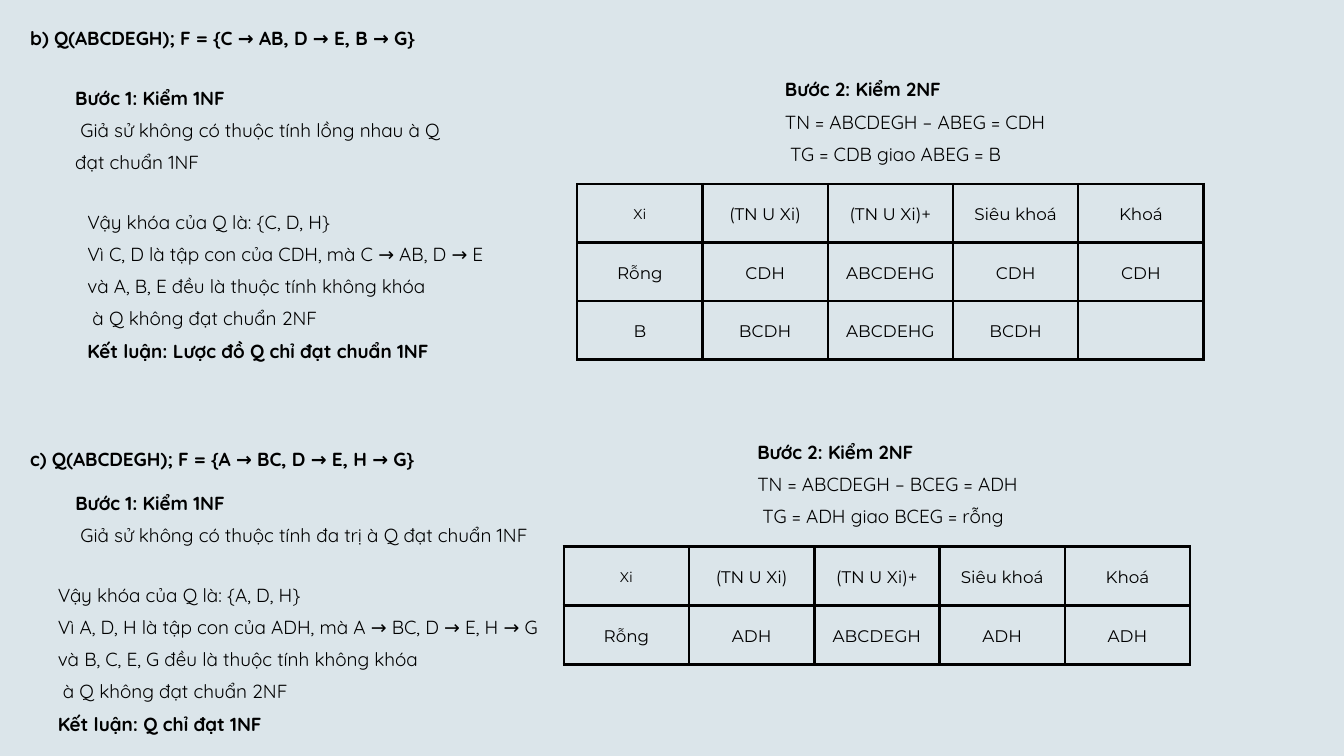
from dataclasses import dataclass

from lxml import etree
from pptx import Presentation
from pptx.dml.color import RGBColor
from pptx.enum.text import MSO_ANCHOR, MSO_AUTO_SIZE, PP_ALIGN
from pptx.oxml.ns import qn
from pptx.util import Inches, Pt

TOP, MIDDLE = MSO_ANCHOR.TOP, MSO_ANCHOR.MIDDLE
LEFT, CENTER = PP_ALIGN.LEFT, PP_ALIGN.CENTER
NO_FIT = MSO_AUTO_SIZE.NONE
TITLE_ONLY = 5
SIDES = ("left", "right", "top", "bottom")
EDGES = ("a:lnL", "a:lnR", "a:lnT", "a:lnB")


@dataclass(frozen=True)
class Theme:
    ink: str = "000000"
    back: str = "DBE5EA"
    text: str = "Quicksand"
    grid: str = "Montserrat"
    body: float = 20.3
    lead: float = 34.5
    cell: float = 18
    small: float = 15
    ratio: float = 1.4
    rule: float = 3
    pad: float = 0.21
    col: float = 1.864


THEME = Theme()
HEAD = ["Xi", "(TN U Xi)", "(TN U Xi)+", "Siêu khoá", "Khoá"]
STEP_1, STEP_2 = "Bước 1: Kiểm 1NF", "Bước 2: Kiểm 2NF"

# Each block: left, top, width, height, lines, index of the bold line
BLOCKS = [
    (1.12, 1.14, 5.87, 1.4,
     [STEP_1, " Giả sử không có thuộc tính lồng nhau à Q đạt chuẩn 1NF"], 0),
    (11.68, 1.02, 3.9, 1.4,
     [STEP_2, "TN = ABCDEGH – ABEG = CDH", " TG = CDB giao ABEG = B"], 0),
    (1.3, 2.99, 6, 2.36,
     ["Vậy khóa của Q là: {C, D, H}",
      "Vì C, D là tập con của CDH, mà C → AB, D → E",
      "và A, B, E đều là thuộc tính không khóa",
      " à Q không đạt chuẩn 2NF",
      "Kết luận: Lược đồ Q chỉ đạt chuẩn 1NF"], 4),
    (0.45, 6.52, 5.87, 0.44,
     ["c) Q(ABCDEGH); F = {A → BC, D → E, H → G}"], 0),
    (1.12, 7.17, 6.85, 0.92,
     [STEP_1, " Giả sử không có thuộc tính đa trị à Q đạt chuẩn 1NF"], 0),
    (11.27, 6.41, 3.9, 1.4,
     [STEP_2, "TN = ABCDEGH – BCEG = ADH", " TG = ADH giao BCEG = rỗng"], 0),
    (0.86, 8.54, 7.37, 2.36,
     ["Vậy khóa của Q là: {A, D, H}",
      "Vì A, D, H là tập con của ADH, mà A → BC, D → E, H → G",
      "và B, C, E, G đều là thuộc tính không khóa",
      " à Q không đạt chuẩn 2NF",
      "Kết luận: Q chỉ đạt 1NF"], 4),
]

# Each table: left, top, row height, rows below the head
TABLES = [
    (8.59, 2.74, 0.87,
     [["Rỗng", "CDH", "ABCDEHG", "CDH", "CDH"],
      ["B", "BCDH", "ABCDEHG", "BCDH", ""]]),
    (8.39, 8.13, 0.88,
     [["Rỗng", "ADH", "ABCDEGH", "ADH", "ADH"]]),
]


def assign(item, values):
    for name, value in values.items():
        setattr(item, name, value)


def write(par, text, face, size, lead, align=LEFT, bold=False):
    par.text = text
    assign(par, {"alignment": align, "line_spacing": Pt(lead),
                 "space_before": Pt(0), "space_after": Pt(0)})
    assign(par.font, {"name": face, "size": Pt(size), "bold": bold})
    par.font.color.rgb = RGBColor.from_string(THEME.ink)


def fill_frame(frame, lines, strong):
    assign(frame, {"word_wrap": True, "auto_size": NO_FIT,
                   "vertical_anchor": TOP})
    assign(frame, {f"margin_{side}": 0 for side in SIDES})
    for i, line in enumerate(lines):
        par = frame.add_paragraph() if i else frame.paragraphs[0]
        write(par, line, THEME.text, THEME.body, THEME.lead, bold=i == strong)


def add_title(slide, left, top, width, height, text):
    title = slide.shapes.title
    assign(title, {"left": Inches(left), "top": Inches(top),
                   "width": Inches(width), "height": Inches(height)})
    fill_frame(title.text_frame, [text], 0)


def add_block(slide, left, top, width, height, lines, strong):
    box = slide.shapes.add_textbox(*map(Inches, (left, top, width, height)))
    fill_frame(box.text_frame, lines, strong)


def add_edges(cell):
    """Rule all four sides; edges must precede the fill in the cell."""
    props = cell._tc.get_or_add_tcPr()
    for i, tag in enumerate(EDGES):
        edge = etree.Element(qn(tag), w=str(Pt(THEME.rule)))
        fill = etree.SubElement(edge, qn("a:solidFill"))
        etree.SubElement(fill, qn("a:srgbClr"), val=THEME.ink)
        props.insert(i, edge)


def fill_cell(cell, text, size):
    cell.fill.background()
    assign(cell, {f"margin_{side}": Inches(THEME.pad) for side in SIDES})
    cell.vertical_anchor = MIDDLE
    write(cell.text_frame.paragraphs[0], text, THEME.grid, size,
          size * THEME.ratio, CENTER)
    add_edges(cell)


def add_grid(slide, left, top, step, rows):
    data = [HEAD] + rows
    size = (THEME.col * len(HEAD), step * len(data))
    table = slide.shapes.add_table(
        len(data), len(HEAD), *map(Inches, (left, top, *size))).table
    assign(table, {"first_row": False, "horz_banding": False})
    for col in table.columns:
        col.width = Inches(THEME.col)
    for r, row in enumerate(data):
        table.rows[r].height = Inches(step)
        for c, text in enumerate(row):
            size = THEME.cell if r or c else THEME.small
            fill_cell(table.cell(r, c), text, size)


def main():
    deck = Presentation()
    assign(deck, {"slide_width": Inches(20), "slide_height": Inches(11.25)})
    slide = deck.slides.add_slide(deck.slide_layouts[TITLE_ONLY])
    back = slide.background.fill
    back.solid()
    back.fore_color.rgb = RGBColor.from_string(THEME.back)
    add_title(slide, 0.45, 0.26, 5.87, 0.44,
              "b) Q(ABCDEGH); F = {C → AB, D → E, B → G}")
    for block in BLOCKS:
        add_block(slide, *block)
    for grid in TABLES:
        add_grid(slide, *grid)
    deck.save("out.pptx")


if __name__ == "__main__":
    main()
